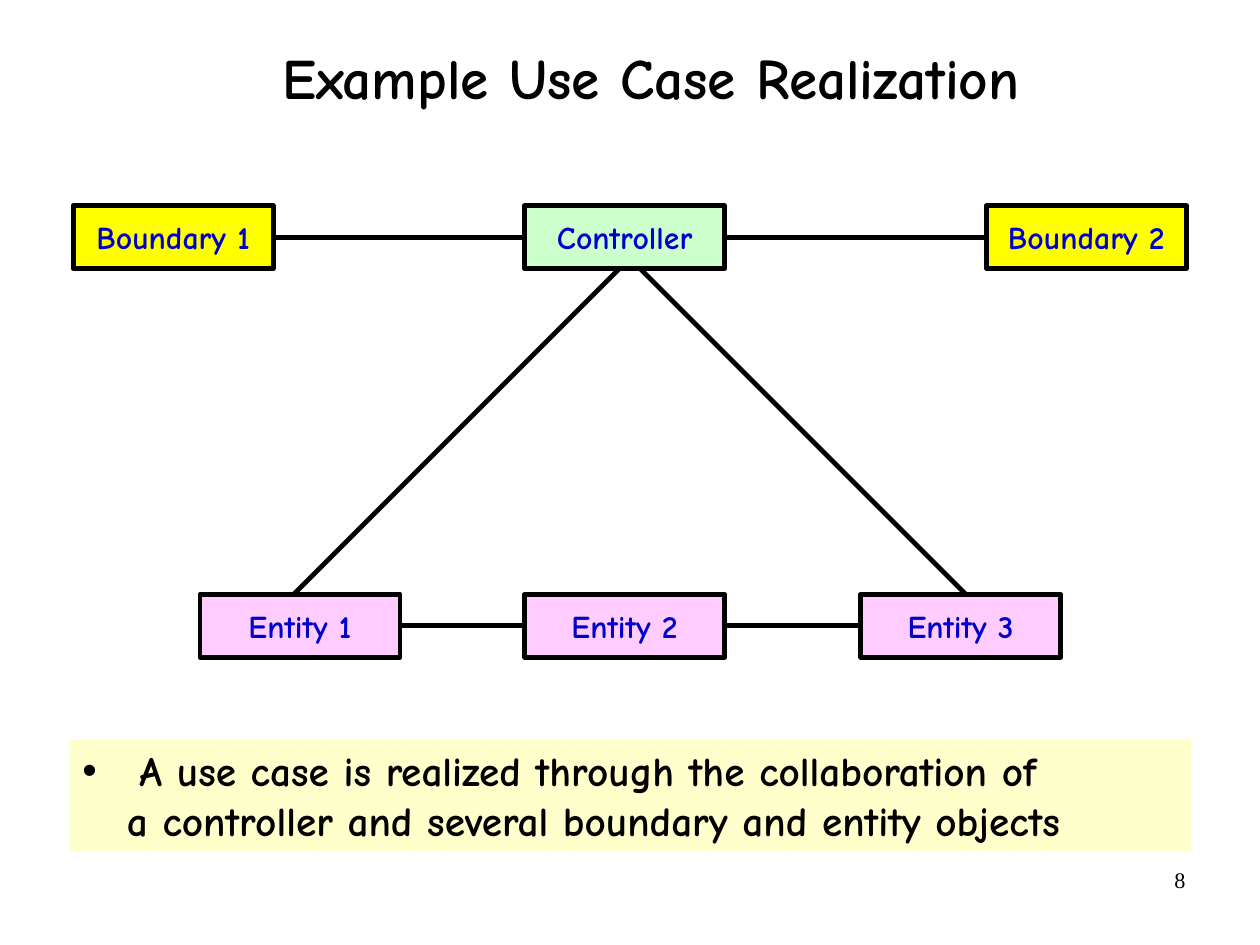
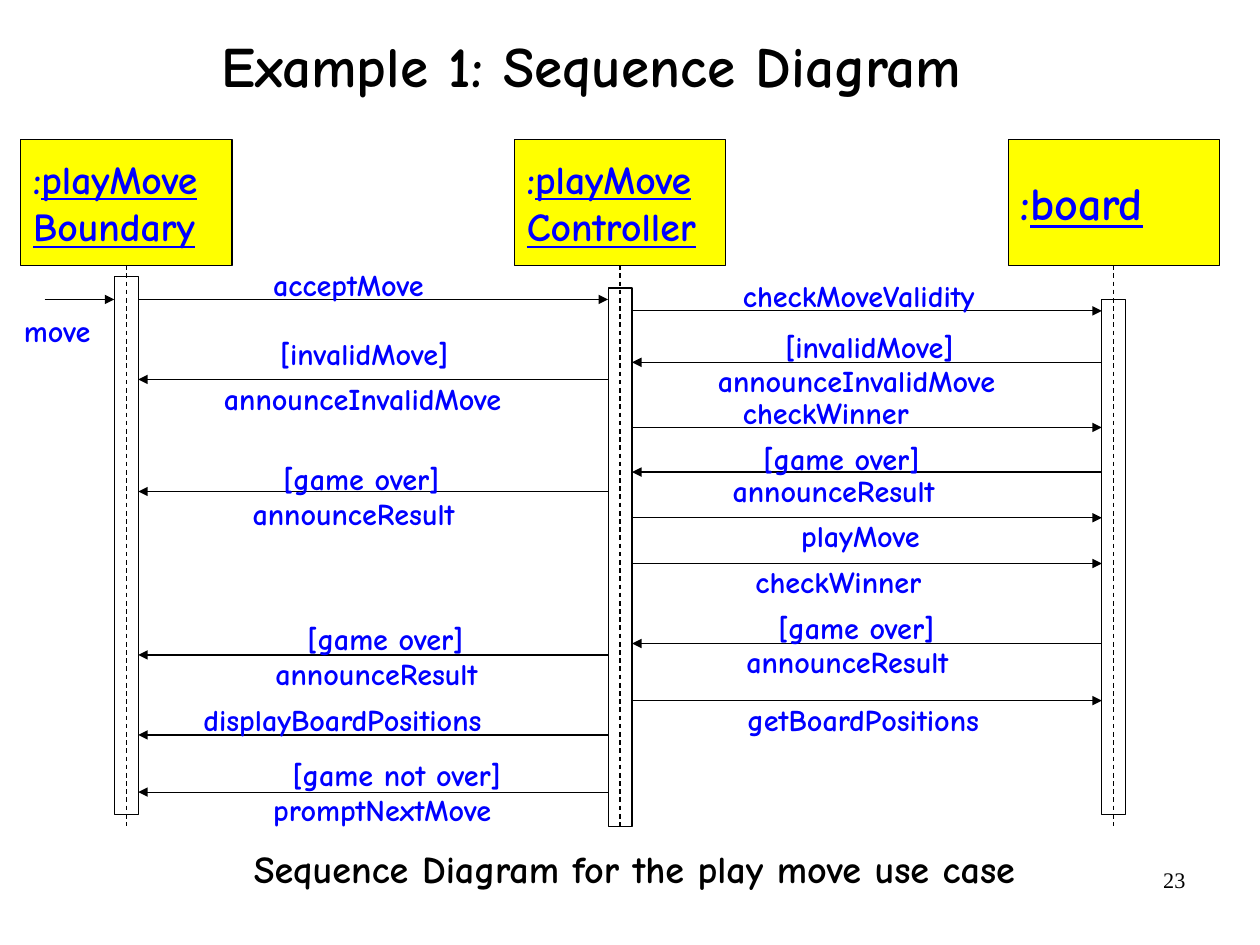
from lxml.etree import SubElement
from pptx import Presentation
from pptx.dml.color import RGBColor
from pptx.enum.dml import MSO_LINE
from pptx.enum.shapes import MSO_CONNECTOR, MSO_SHAPE
from pptx.enum.text import MSO_ANCHOR, MSO_AUTO_SIZE, PP_ALIGN
from pptx.oxml.ns import qn
from pptx.util import Inches, Pt

BLACK = RGBColor(0x00, 0x00, 0x00)
BLUE = RGBColor(0x00, 0x00, 0xFF)
DARK_BLUE = RGBColor(0x00, 0x00, 0xCC)
YELLOW = RGBColor(0xFF, 0xFF, 0x00)
GREEN = RGBColor(0xCC, 0xFF, 0xCC)
PINK = RGBColor(0xFF, 0xCC, 0xFF)
CREAM = RGBColor(0xFF, 0xFF, 0xCC)
FONT = "Comic Neue"
NUMBER_FONT = "Times New Roman"
CM_PER_INCH = 2.54


def add_run(paragraph, text, size, color=BLACK, font=FONT, underline=None):
    run = paragraph.add_run()
    run.text = text
    run.font.name = font
    run.font.size = Pt(size)
    run.font.bold = font == FONT
    run.font.underline = underline
    run.font.color.rgb = color


def add_line(slide, start, end, width, dashed=False, arrow=False):
    """Add a straight black connector without shadow, from start to end in inches."""
    connector = slide.shapes.add_connector(
        MSO_CONNECTOR.STRAIGHT, *[Inches(value) for value in (*start, *end)])
    connector.line.color.rgb = BLACK
    connector.line.width = Pt(width)
    if dashed:
        connector.line.dash_style = MSO_LINE.DASH
    properties = connector.element.spPr
    if arrow:
        SubElement(properties.find(qn("a:ln")), qn("a:tailEnd"), type="triangle")
    SubElement(properties, qn("a:effectLst"))
    return connector


# The page is 28 by 21 centimetres
presentation = Presentation()
presentation.slide_width = Inches(28 / CM_PER_INCH)
presentation.slide_height = Inches(21 / CM_PER_INCH)

# Titles and page numbers
SLIDES = [
    (1, "Example Use Case Realization", (1.01, 0.02, 9.37, 1.37), "8"),
    (5, "Example 1: Sequence Diagram", (0.49, -0.11, 9.37, 1.42), "23"),
]
for layout, heading, box, number in SLIDES:
    slide = presentation.slides.add_slide(presentation.slide_layouts[layout])
    title = slide.shapes.title
    title.left, title.top, title.width, title.height = [Inches(value) for value in box]
    frame = title.text_frame
    frame.auto_size = MSO_AUTO_SIZE.NONE
    frame.vertical_anchor = MSO_ANCHOR.MIDDLE
    frame.margin_left = frame.margin_right = Inches(0.02)
    frame.margin_top = frame.margin_bottom = Inches(0.06)
    paragraph = frame.paragraphs[0]
    paragraph.alignment = PP_ALIGN.CENTER
    paragraph.line_spacing = 0.94
    add_run(paragraph, heading, 36)

    page_number = slide.shapes.add_textbox(
        Inches(7.9), Inches(7.53), Inches(2.57), Inches(0.57))
    page_number.text_frame.word_wrap = True
    paragraph = page_number.text_frame.paragraphs[0]
    paragraph.alignment = PP_ALIGN.RIGHT
    add_run(paragraph, number, 14, font=NUMBER_FONT)

realization, sequence = presentation.slides

# Use case realization: objects and their links
BOX_WIDTH, BOX_HEIGHT = 1.75, 0.55
BOUNDARY_TOP, ENTITY_TOP = 1.8, 5.2
OBJECTS = [
    ("Boundary 1", 0.64, BOUNDARY_TOP, YELLOW),
    ("Controller", 4.59, BOUNDARY_TOP, GREEN),
    ("Boundary 2", 8.63, BOUNDARY_TOP, YELLOW),
    ("Entity 1", 1.75, ENTITY_TOP, PINK),
    ("Entity 2", 4.59, ENTITY_TOP, PINK),
    ("Entity 3", 7.53, ENTITY_TOP, PINK),
]
objects = {}
for name, left, top, color in OBJECTS:
    shape = realization.shapes.add_shape(
        MSO_SHAPE.RECTANGLE, Inches(left), Inches(top), Inches(BOX_WIDTH), Inches(BOX_HEIGHT))
    shape.shadow.inherit = False
    shape.fill.solid()
    shape.fill.fore_color.rgb = color
    shape.line.color.rgb = BLACK
    shape.line.width = Pt(3)
    shape.text_frame.vertical_anchor = MSO_ANCHOR.MIDDLE
    paragraph = shape.text_frame.paragraphs[0]
    paragraph.alignment = PP_ALIGN.CENTER
    add_run(paragraph, name, 20, DARK_BLUE)
    objects[name] = shape

LINKS = [
    ("Boundary 1", "Controller"), ("Controller", "Boundary 2"),
    ("Entity 1", "Entity 2"), ("Entity 2", "Entity 3"),
]
for first, second in LINKS:
    link = add_line(realization, (0, 0), (1, 0), 3)
    link.begin_connect(objects[first], 3)
    link.end_connect(objects[second], 1)

controller_bottom = BOUNDARY_TOP + BOX_HEIGHT
add_line(realization, (2.57, ENTITY_TOP), (5.42, controller_bottom), 3)
add_line(realization, (5.6, controller_bottom), (8.45, ENTITY_TOP), 3)

# Use case realization: statement
body = realization.placeholders[1]
body.left, body.top = Inches(0.61), Inches(6.47)
body.width, body.height = Inches(9.81), Inches(0.98)
body.fill.solid()
body.fill.fore_color.rgb = CREAM
frame = body.text_frame
frame.auto_size = MSO_AUTO_SIZE.NONE
frame.word_wrap = True
frame.margin_left = frame.margin_right = Inches(0.11)
frame.margin_top = frame.margin_bottom = Inches(0.05)
STATEMENT = [
    ("A use case is realized through the collaboration of", 0.5, -0.5, "•"),
    ("a controller and several boundary and entity objects", 0.39, 0, None),
]
for index, (text, margin, indent, bullet) in enumerate(STATEMENT):
    paragraph = frame.add_paragraph() if index else frame.paragraphs[0]
    paragraph.space_before = Pt(0)
    add_run(paragraph, text, 26)
    properties = paragraph._p.get_or_add_pPr()
    properties.set("marL", str(Inches(margin)))
    properties.set("indent", str(Inches(indent)))
    if bullet:
        SubElement(properties, qn("a:buChar"), char=bullet)
    else:
        SubElement(properties, qn("a:buNone"))

# Sequence diagram: participants, lifelines and activation bars
HEAD_LEFT, HEAD_TOP, HEAD_WIDTH, HEAD_HEIGHT = 0.18, 1.22, 1.85, 1.1
PITCH = 4.32
BAR_WIDTH = 0.21
BAR_LEFT = HEAD_LEFT + (HEAD_WIDTH - BAR_WIDTH) / 2
LIFELINE_BOTTOM = 7.23
PARTICIPANTS = [
    (["playMove", "Boundary"], 25, 2.42, 4.71),
    (["playMove", "Controller"], 25, 2.52, 4.71),
    (["board"], 29, 2.62, 4.51),
]
for column, (lines, size, bar_top, bar_height) in enumerate(PARTICIPANTS):
    offset = column * PITCH
    head = sequence.shapes.add_shape(
        MSO_SHAPE.RECTANGLE, Inches(HEAD_LEFT + offset), Inches(HEAD_TOP),
        Inches(HEAD_WIDTH), Inches(HEAD_HEIGHT))
    head.fill.solid()
    head.fill.fore_color.rgb = YELLOW
    frame = head.text_frame
    frame.vertical_anchor = MSO_ANCHOR.MIDDLE
    frame.margin_left = frame.margin_right = Inches(0.11)
    for index, line in enumerate(lines):
        paragraph = frame.add_paragraph() if index else frame.paragraphs[0]
        paragraph.alignment = PP_ALIGN.LEFT
        if index == 0:
            add_run(paragraph, ":", size, BLUE)
        add_run(paragraph, line, size, BLUE, underline=True)

    bar = sequence.shapes.add_shape(
        MSO_SHAPE.RECTANGLE, Inches(BAR_LEFT + offset), Inches(bar_top),
        Inches(BAR_WIDTH), Inches(bar_height))
    bar.fill.background()
    for shape in (head, bar):
        shape.shadow.inherit = False
        shape.line.color.rgb = BLACK
        shape.line.width = Pt(0.75)

    center = HEAD_LEFT + HEAD_WIDTH / 2 + offset
    lifeline = add_line(sequence, (center, HEAD_TOP + HEAD_HEIGHT),
                        (center, LIFELINE_BOTTOM), 0.75, dashed=True)
    lifeline.begin_connect(head, 2)

# Sequence diagram: messages as (sender column, receiver column, height)
MESSAGES = [
    (0, 1, 2.62), (1, 2, 2.72), (2, 1, 3.17), (1, 0, 3.32), (1, 2, 3.74),
    (2, 1, 4.13), (1, 0, 4.3), (1, 2, 4.53), (1, 2, 4.93), (2, 1, 5.63),
    (1, 0, 5.73), (1, 2, 6.13), (1, 0, 6.43), (1, 0, 6.93),
]
add_line(sequence, (0.39, 2.62), (BAR_LEFT, 2.62), 0.75, arrow=True)
for sender, receiver, height in MESSAGES:
    start = BAR_LEFT + sender * PITCH
    end = BAR_LEFT + receiver * PITCH
    if sender < receiver:
        start += BAR_WIDTH
    else:
        end += BAR_WIDTH
    add_line(sequence, (start, height), (end, height), 0.75, arrow=True)

# Sequence diagram: message labels as text, width and places
LABELS = [
    ("move", 0.59, [(0.21, 2.73)]),
    ("acceptMove", 1.32, [(2.39, 2.33)]),
    ("checkMoveValidity", 2.04, [(6.5, 2.43)]),
    ("[invalidMove]", 1.48, [(6.87, 2.87), (2.45, 2.93)]),
    ("announceInvalidMove", 2.44, [(6.28, 3.17), (1.96, 3.33)]),
    ("checkWinner", 1.47, [(6.5, 3.45), (6.61, 4.93)]),
    ("[game over]", 1.37, [(6.68, 3.85), (2.48, 4.03), (6.81, 5.33), (2.69, 5.43)]),
    ("announceResult", 1.77, [(6.41, 4.13), (2.21, 4.33), (6.53, 5.63), (2.41, 5.73)]),
    ("playMove", 1.04, [(7.01, 4.53)]),
    ("getBoardPositions", 2.03, [(6.54, 6.14)]),
    ("displayBoardPositions", 2.44, [(1.78, 6.14)]),
    ("[game not over]", 1.83, [(2.56, 6.62)]),
    ("promptNextMove", 1.92, [(2.39, 6.92)]),
]
CAPTION = "Sequence Diagram for the play move use case"
texts = [(text, left, top, width, 0.32, 19, BLUE)
         for text, width, places in LABELS for left, top in places]
texts.append((CAPTION, 2.22, 7.4, 6.68, 0.4, 24, BLACK))
for text, left, top, width, height, size, color in texts:
    label = sequence.shapes.add_textbox(
        Inches(left), Inches(top), Inches(width), Inches(height))
    frame = label.text_frame
    frame.word_wrap = False
    frame.auto_size = MSO_AUTO_SIZE.SHAPE_TO_FIT_TEXT
    frame.margin_left = frame.margin_right = frame.margin_top = frame.margin_bottom = 0
    add_run(frame.paragraphs[0], text, size, color)

presentation.save("out.pptx")
